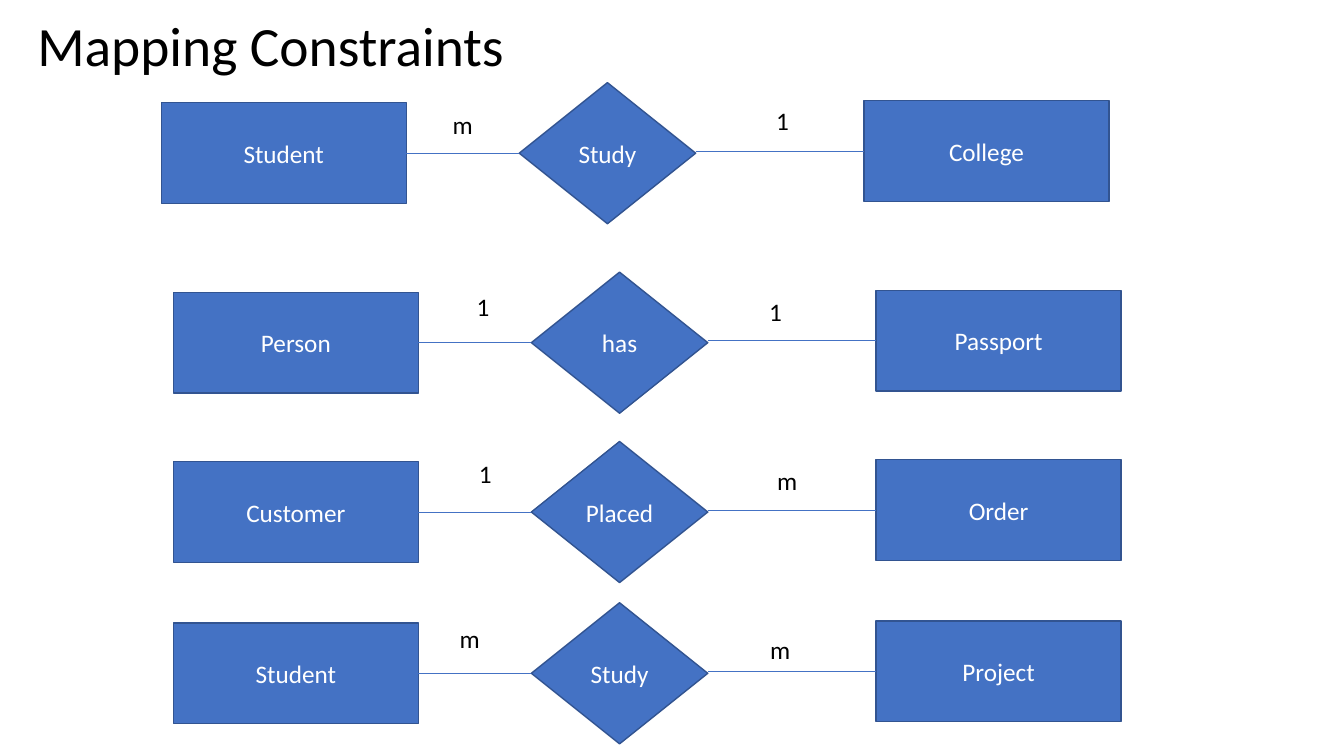
from pptx import Presentation
from pptx.dml.color import RGBColor
from pptx.enum.shapes import MSO_CONNECTOR, MSO_SHAPE
from pptx.enum.text import MSO_ANCHOR, MSO_AUTO_SIZE, PP_ALIGN
from pptx.oxml.ns import qn
from pptx.util import Inches, Pt
from lxml import etree

RECTANGLE, DIAMOND = MSO_SHAPE.RECTANGLE, MSO_SHAPE.DIAMOND
STRAIGHT = MSO_CONNECTOR.STRAIGHT
MIDDLE, FIT_SHAPE, NO_FIT = MSO_ANCHOR.MIDDLE, MSO_AUTO_SIZE.SHAPE_TO_FIT_TEXT, MSO_AUTO_SIZE.NONE
LEFT, CENTER = PP_ALIGN.LEFT, PP_ALIGN.CENTER

FONT = "Calibri"
COLORS = {"fill": "4472C4", "outline": "325491", "light": "FFFFFF", "dark": "000000"}
TITLE_ONLY = 5

ENTITY_WIDTH, ENTITY_HEIGHT = 2.43, 1.0
DIAMOND_WIDTH, DIAMOND_HEIGHT = 1.75, 1.4
DIAMOND_OFFSET, RIGHT_OFFSET = 3.55, 6.97
RIGHT_RISE = 0.02

# Each row: left edge, centre line, three names, two cardinalities with their positions.
RELATIONSHIPS = [
    (1.6, 1.52, ("Student", "Study", "College"), (("m", 4.39, 1.04), ("1", 7.6, 1.0))),
    (1.72, 3.4, ("Person", "has", "Passport"), (("1", 4.63, 2.84), ("1", 7.53, 2.89))),
    (1.72, 5.08, ("Customer", "Placed", "Order"), (("1", 4.65, 4.5), ("m", 7.61, 4.57))),
    (1.72, 6.68, ("Student", "Study", "Project"), (("m", 4.46, 6.13), ("m", 7.54, 6.24))),
]


def color(name):
    """Return the named colour."""
    return RGBColor.from_string(COLORS[name])


def write(frame, text, size, color_name, align):
    """Put one formatted paragraph into a text frame."""
    frame.text = text
    para = frame.paragraphs[0]
    para.alignment = align
    font = para.runs[0].font
    font.name, font.size = FONT, Pt(size)
    font.color.rgb = color(color_name)


def add_title(page, text):
    """Fill and place the title placeholder."""
    title = page.shapes.title
    title.left, title.top = Inches(0.27), Inches(0.3)
    title.width, title.height = Inches(11.5), Inches(0.37)
    frame = title.text_frame
    write(frame, text, 39.6, "dark", LEFT)
    frame.auto_size, frame.word_wrap = NO_FIT, True
    frame.vertical_anchor = MIDDLE
    frame.paragraphs[0].line_spacing = 0.9


def add_node(page, kind, text, left, middle, width, height):
    """Add an entity or relationship shape centred on a horizontal line."""
    node = page.shapes.add_shape(
        kind, Inches(left), Inches(middle - height / 2), Inches(width), Inches(height))
    node.shadow.inherit = False
    node.fill.solid()
    node.fill.fore_color.rgb = color("fill")
    node.line.color.rgb = color("outline")
    node.line.width = Pt(1)
    node.text_frame.vertical_anchor = MIDDLE
    write(node.text_frame, text, 18, "light", CENTER)


def add_link(page, start, end, middle):
    """Add a thin horizontal line without a shadow."""
    link = page.shapes.add_connector(
        STRAIGHT, Inches(start), Inches(middle), Inches(end), Inches(middle))
    link.line.color.rgb = color("fill")
    link.line.width = Pt(0.5)
    etree.SubElement(link._element.spPr, qn("a:effectLst"))


def add_cardinality(page, text, left, top):
    """Add a cardinality label above a link."""
    box = page.shapes.add_textbox(Inches(left), Inches(top), Inches(0.52), Inches(0.4))
    box.text_frame.word_wrap = True
    box.text_frame.auto_size = FIT_SHAPE
    write(box.text_frame, text, 18, "dark", LEFT)


def add_relationship(page, left, middle, names, cardinalities):
    """Add two entities joined through a relationship diamond."""
    source, relation, target = names
    diamond_left, target_left = left + DIAMOND_OFFSET, left + RIGHT_OFFSET
    raised = middle - RIGHT_RISE
    add_node(page, RECTANGLE, source, left, middle, ENTITY_WIDTH, ENTITY_HEIGHT)
    add_node(page, RECTANGLE, target, target_left, raised, ENTITY_WIDTH, ENTITY_HEIGHT)
    add_node(page, DIAMOND, relation, diamond_left, middle, DIAMOND_WIDTH, DIAMOND_HEIGHT)
    add_link(page, left + ENTITY_WIDTH, diamond_left, middle)
    add_link(page, diamond_left + DIAMOND_WIDTH, target_left, raised)
    for text, label_left, label_top in cardinalities:
        add_cardinality(page, text, label_left, label_top)


def main():
    """Build the slide and save it."""
    deck = Presentation()
    deck.slide_width, deck.slide_height = Inches(13.33), Inches(7.5)
    page = deck.slides.add_slide(deck.slide_layouts[TITLE_ONLY])
    add_title(page, "Mapping Constraints")
    for relationship in RELATIONSHIPS:
        add_relationship(page, *relationship)
    deck.save("out.pptx")


if __name__ == "__main__":
    main()
